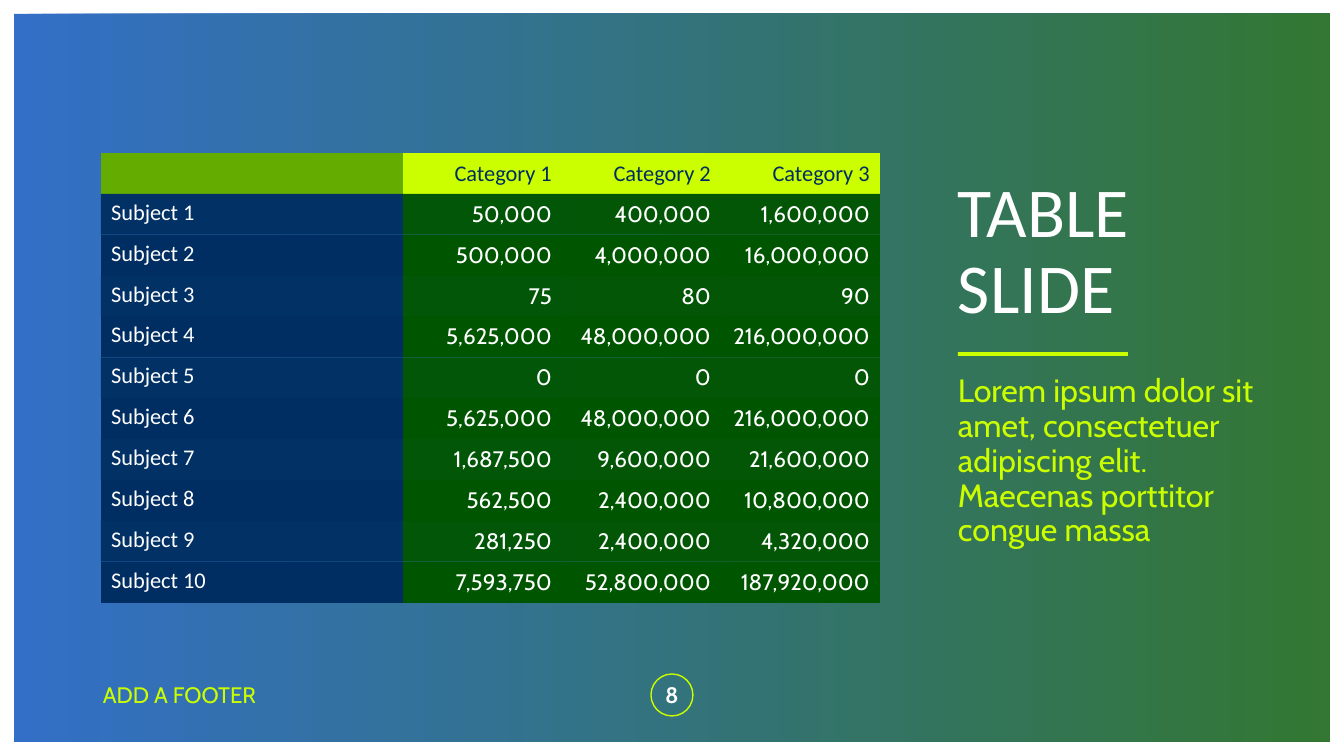
from lxml import etree
from pptx import Presentation
from pptx import util as u
from pptx.dml.color import RGBColor
from pptx.enum import shapes, text
from pptx.oxml.ns import qn

HEADERS = ["", "Category 1", "Category 2", "Category 3"]
SUBJECTS = [
    (50000, 400000, 1600000),
    (500000, 4000000, 16000000),
    (75, 80, 90),
    (5625000, 48000000, 216000000),
    (0, 0, 0),
    (5625000, 48000000, 216000000),
    (1687500, 9600000, 21600000),
    (562500, 2400000, 10800000),
    (281250, 2400000, 4320000),
    (7593750, 52800000, 187920000),
]
TITLE = "TABLE\vSLIDE"
BODY = "Lorem ipsum dolor sit amet, consectetuer adipiscing elit. Maecenas porttitor congue massa"
FOOTER = "ADD A FOOTER"
PAGE = "8"

WHITE = RGBColor(0xFF, 0xFF, 0xFF)
LIME = RGBColor(0xCB, 0xFF, 0x00)
LEAF = RGBColor(0x64, 0xAC, 0x00)
NAVY = RGBColor(0x00, 0x2E, 0x62)
FOREST = RGBColor(0x00, 0x55, 0x00)
BLUE = RGBColor(0x00, 0x4C, 0xB9)
HEADING_FONT, BODY_FONT = "Calibri", "Cabin"
NO_STYLE_NO_GRID = "{2D5ABB26-0587-4C30-8999-92F81FD0307C}"

SLIDE_WIDTH, SLIDE_HEIGHT, MARGIN = 1344, 756, 14
TABLE_LEFT, TABLE_TOP, TABLE_HEIGHT = 101, 153, 450
COLUMN_WIDTHS = [302, 159, 159, 159]
SIDE_LEFT = 958


def px(length):
    return u.Emu(round(length * 914400 / 100.8))


def set_opacity(element, percent):
    for color in element.iter(qn("a:srgbClr")):
        etree.SubElement(color, qn("a:alpha"), val=str(percent * 1000))


def set_font(paragraph, name, size, color, bold=False):
    font = paragraph.font
    font.name, font.size, font.bold = name, u.Pt(size), bold
    font.color.rgb = color


def add_shape(slide, kind, *box):
    shape = slide.shapes.add_shape(kind, *map(px, box))
    shape.shadow.inherit = False
    shape.fill.background()
    shape.line.fill.background()
    return shape


def add_text(slide, box, content, name, size, color, inset=0, bold=False,
             anchor=text.MSO_ANCHOR.MIDDLE, align=text.PP_ALIGN.LEFT, spacing=1.0):
    frame = slide.shapes.add_textbox(*map(px, box)).text_frame
    frame.word_wrap = True
    frame.vertical_anchor = anchor
    frame.margin_left = frame.margin_right = px(inset)
    paragraph = frame.paragraphs[0]
    paragraph.text = content
    paragraph.alignment = align
    paragraph.line_spacing = spacing
    set_font(paragraph, name, size, color, bold)


def add_subject_table(slide):
    rows = [HEADERS] + [
        [f"Subject {number}"] + [f"{value:,}" for value in values]
        for number, values in enumerate(SUBJECTS, 1)
    ]
    frame = slide.shapes.add_table(
        len(rows), len(HEADERS), px(TABLE_LEFT), px(TABLE_TOP),
        px(sum(COLUMN_WIDTHS)), px(TABLE_HEIGHT))
    table = frame.table
    table.first_row = table.horz_banding = False
    next(frame._element.iter(qn("a:tableStyleId"))).text = NO_STYLE_NO_GRID
    for column, width in zip(table.columns, COLUMN_WIDTHS):
        column.width = px(width)
    for row_index, row in enumerate(rows):
        table.rows[row_index].height = px(TABLE_HEIGHT / len(rows))
        for column_index, content in enumerate(row):
            is_header, is_label = row_index == 0, column_index == 0
            cell = table.cell(row_index, column_index)
            cell.text = content
            cell.fill.solid()
            if is_header:
                cell.fill.fore_color.rgb = LEAF if is_label else LIME
            else:
                cell.fill.fore_color.rgb = NAVY if is_label else FOREST
                if row_index % 2:
                    set_opacity(cell._tc.tcPr, 95)
            paragraph = cell.text_frame.paragraphs[0]
            if not is_label:
                cell.vertical_anchor = text.MSO_ANCHOR.MIDDLE
                paragraph.alignment = text.PP_ALIGN.RIGHT
            set_font(paragraph, HEADING_FONT if is_header or is_label else BODY_FONT,
                     16, NAVY if is_header else WHITE)


def main():
    presentation = Presentation()
    presentation.slide_width, presentation.slide_height = px(SLIDE_WIDTH), px(SLIDE_HEIGHT)
    slide = presentation.slides.add_slide(presentation.slide_layouts[6])

    backdrop = add_shape(slide, shapes.MSO_SHAPE.RECTANGLE, MARGIN, MARGIN,
                         SLIDE_WIDTH - 2 * MARGIN, SLIDE_HEIGHT - 2 * MARGIN)
    backdrop.fill.gradient()
    backdrop.fill.gradient_angle = 0
    for stop, color, position in zip(backdrop.fill.gradient_stops, (BLUE, FOREST), (0, 1)):
        stop.color.rgb = color
        stop.position = position
    set_opacity(backdrop._element.spPr, 80)

    page_ring = add_shape(slide, shapes.MSO_SHAPE.OVAL, 651, 674, 42, 42)
    page_ring.line.color.rgb = LIME
    page_ring.line.width = u.Pt(1)

    title_rule = add_shape(slide, shapes.MSO_SHAPE.RECTANGLE, SIDE_LEFT, 352, 170, 4)
    title_rule.fill.solid()
    title_rule.fill.fore_color.rgb = LIME

    add_subject_table(slide)
    add_text(slide, (SIDE_LEFT, 166, 294, 174), TITLE, HEADING_FONT, 50, WHITE, spacing=0.9)
    add_text(slide, (SIDE_LEFT, 370, 314, 248), BODY, BODY_FONT, 23, LIME,
             anchor=text.MSO_ANCHOR.TOP, spacing=0.9)
    add_text(slide, (93, 674, 375, 41), FOOTER, BODY_FONT, 16, LIME, inset=10)
    add_text(slide, (642, 674, 60, 41), PAGE, BODY_FONT, 16, WHITE, inset=10,
             bold=True, align=text.PP_ALIGN.CENTER)
    presentation.save("out.pptx")


if __name__ == "__main__":
    main()
